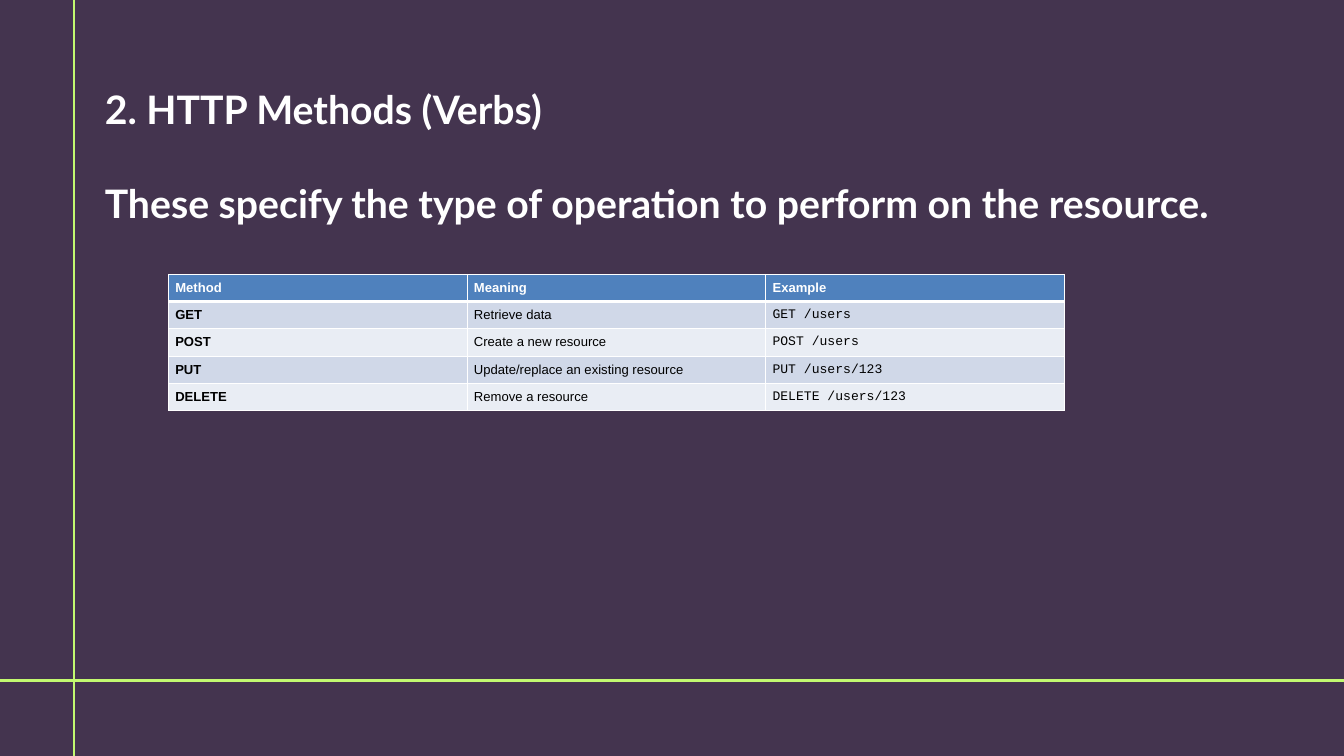
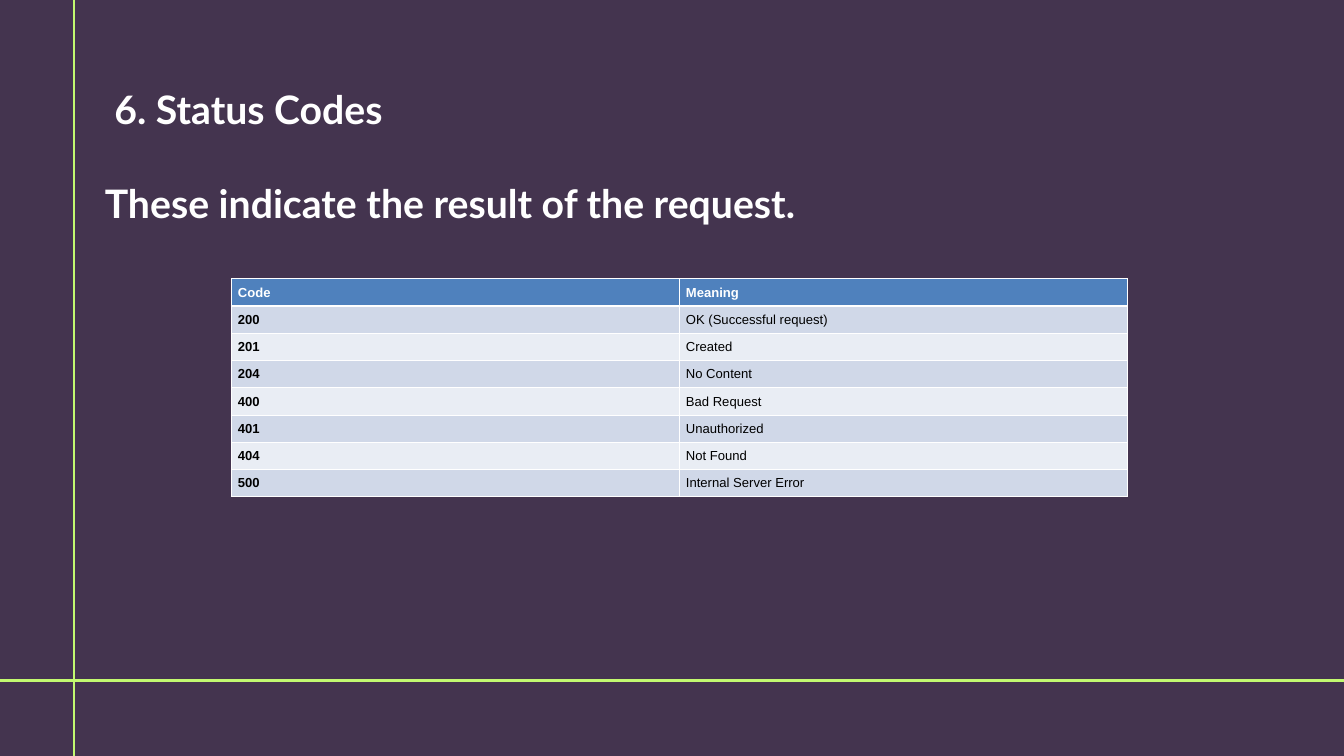
from pptx import Presentation
from pptx.dml.color import RGBColor
from pptx.enum.shapes import MSO_CONNECTOR
from pptx.enum.text import MSO_ANCHOR
from pptx.oxml.ns import qn
from pptx.util import Pt
from lxml.etree import SubElement

# Shared look
HUES = {
    "back": "44344F", "rule": "C2F970", "white": "FFFFFF", "black": "000000",
    "head": "4F81BD", "odd": "D0D8E8", "even": "E9EDF4",
}
WIDE, HIGH = 1440, 810
LEFT, FOOT = 79.2, 729
ROW, SPAN = 29.2, 960
LINES = [(LEFT, HIGH, LEFT, 0), (WIDE, FOOT, 0, FOOT)]

# Content of each slide
PAGES = [
    {
        "title": ["2. HTTP Methods (Verbs)",
                  "These specify the type of operation to perform on the resource."],
        "spot": (180.6, 293.8),
        "rows": [
            ("Method", "Meaning", "Example"),
            ("GET", "Retrieve data", "GET /users"),
            ("POST", "Create a new resource", "POST /users"),
            ("PUT", "Update/replace an existing resource", "PUT /users/123"),
            ("DELETE", "Remove a resource", "DELETE /users/123"),
        ],
    },
    {
        "title": [" 6. Status Codes", "These indicate the result of the request."],
        "spot": (247.7, 298.8),
        "rows": [
            ("Code", "Meaning"),
            ("200", "OK (Successful request)"),
            ("201", "Created"),
            ("204", "No Content"),
            ("400", "Bad Request"),
            ("401", "Unauthorized"),
            ("404", "Not Found"),
            ("500", "Internal Server Error"),
        ],
    },
]


def style(run, face, size, hue, bold):
    run.font.name = face
    run.font.size = Pt(size)
    run.font.bold = bold
    run.font.color.rgb = RGBColor.from_string(HUES[hue])


def edge(cell, side, width):
    line = SubElement(cell._tc.get_or_add_tcPr(), qn("a:ln" + side), w=str(Pt(width)))
    fill = SubElement(line, qn("a:solidFill"))
    SubElement(fill, qn("a:srgbClr"), val=HUES["white"])


deck = Presentation()
deck.slide_width, deck.slide_height = Pt(WIDE), Pt(HIGH)

for page in PAGES:
    slide = deck.slides.add_slide(deck.slide_layouts[6])
    slide.background.fill.solid()
    slide.background.fill.fore_color.rgb = RGBColor.from_string(HUES["back"])

    # Crossing rules
    for ends in LINES:
        rule = slide.shapes.add_connector(MSO_CONNECTOR.STRAIGHT, *map(Pt, ends))
        rule.line.width = Pt(3)
        rule.line.color.rgb = RGBColor.from_string(HUES["rule"])
        SubElement(rule.element.spPr, qn("a:effectLst"))

    # Title and lead sentence, one line apart
    box = slide.shapes.add_textbox(Pt(112.3), Pt(91.4), Pt(1258.6), Pt(152.6))
    frame = box.text_frame
    frame.word_wrap = True
    frame.margin_left = frame.margin_right = frame.margin_top = frame.margin_bottom = 0
    frame.text = "\n".join(page["title"])
    frame.paragraphs[1].space_before = Pt(50.4)
    for para in frame.paragraphs:
        style(para.runs[0], "Lato", 42, "white", True)

    # Table
    rows = page["rows"]
    count = len(rows[0])
    left, top = page["spot"]
    table = slide.shapes.add_table(len(rows), count, Pt(left), Pt(top),
                                   Pt(SPAN), Pt(ROW * len(rows))).table
    for r, row in enumerate(rows):
        for c, text in enumerate(row):
            cell = table.cell(r, c)
            cell.text_frame.text = text
            cell.vertical_anchor = MSO_ANCHOR.MIDDLE
            face = "Courier New" if r and c == 2 else "Arial"
            style(cell.text_frame.paragraphs[0].runs[0], face, 14,
                  "black" if r else "white", r == 0 or c == 0)
            # Thick line under the header, thin ones elsewhere
            for side in "LRTB":
                thick = (r, side) in [(0, "B"), (1, "T")]
                edge(cell, side, 3 if thick else 1)
            cell.fill.solid()
            band = "head" if r == 0 else "odd" if r % 2 else "even"
            cell.fill.fore_color.rgb = RGBColor.from_string(HUES[band])

deck.save("out.pptx")
